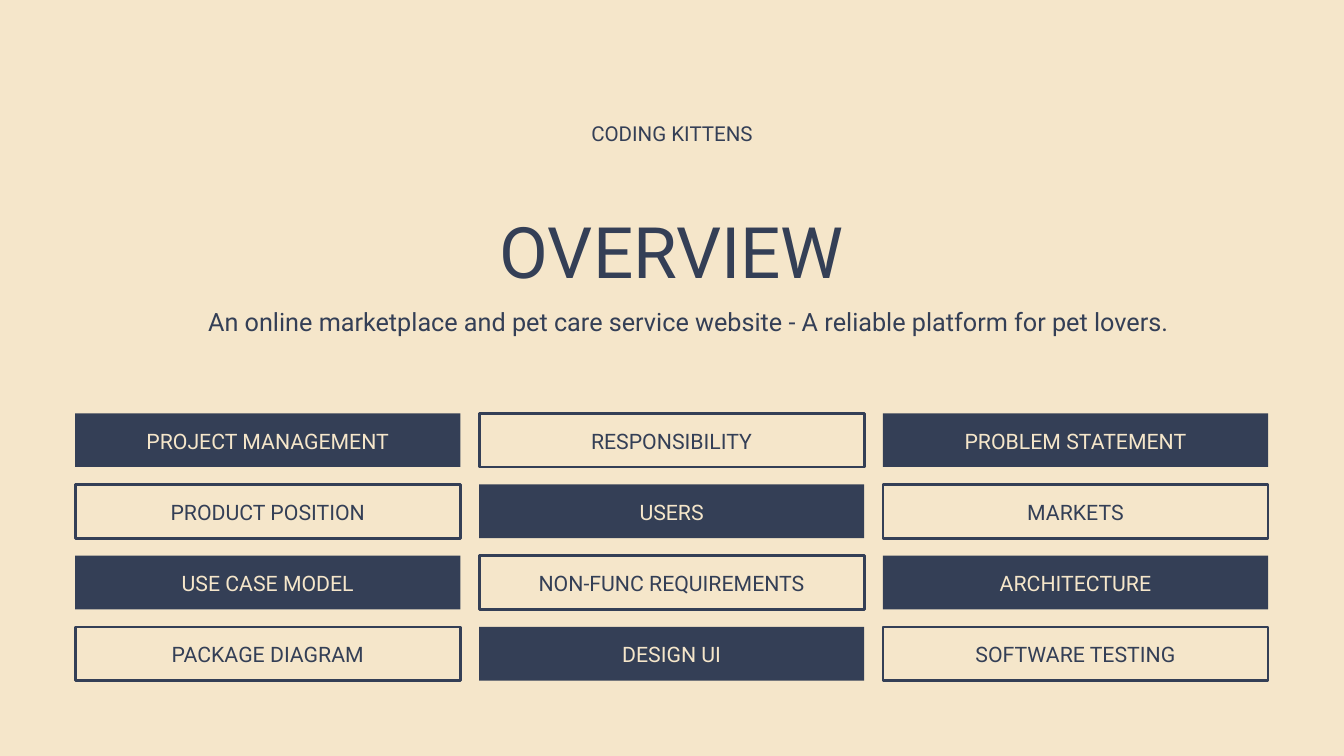
from pptx import Presentation
from pptx.dml.color import RGBColor
from pptx.enum.shapes import MSO_SHAPE as Shape
from pptx.enum.text import MSO_ANCHOR as Anchor, MSO_AUTO_SIZE as AutoSize, PP_ALIGN as Align
from pptx.util import Pt

PX = 9144
NAVY = "343F56"
CREAM = "F5E6CA"
TOPICS = [
    ["PROJECT MANAGEMENT", "RESPONSIBILITY", "PROBLEM STATEMENT"],
    ["PRODUCT POSITION", "USERS", "MARKETS"],
    ["USE CASE MODEL", "NON-FUNC REQUIREMENTS", "ARCHITECTURE"],
    ["PACKAGE DIAGRAM", "DESIGN UI", "SOFTWARE TESTING"],
]


def color(value):
    return RGBColor.from_string(value)


def emu(*lengths):
    return [length * PX for length in lengths]


def place(shape, left, top, width, height):
    shape.left, shape.top, shape.width, shape.height = emu(left, top, width, height)


def write(shape, text, size, leading, ink=NAVY, anchor=Anchor.TOP):
    frame = shape.text_frame
    frame.word_wrap = True
    frame.auto_size = AutoSize.NONE
    frame.vertical_anchor = anchor
    frame.margin_left = frame.margin_right = frame.margin_top = frame.margin_bottom = 0
    paragraph = frame.paragraphs[0]
    paragraph.text = text
    paragraph.alignment = Align.CENTER
    paragraph.space_before = Pt(0)
    paragraph.line_spacing = Pt(leading)
    paragraph.font.name = "Roboto"
    paragraph.font.size = Pt(size)
    paragraph.font.color.rgb = color(ink)


def add_heading(slide, left, top, width):
    team = slide.shapes.add_textbox(*emu(left, top, width, 42))
    write(team, "CODING KITTENS", 22, 30.8)

    title = slide.shapes.title
    place(title, left, top + 114, width, 142)
    write(title, "OVERVIEW", 76, 106.4)

    tagline = slide.placeholders[1]
    place(tagline, left + 24, top + 275, width, 51)
    write(tagline, "An online marketplace and pet care service website"
          " - A reliable platform for pet lovers.", 27, 37.8)


def add_topic(slide, left, top, width, height, topic, filled):
    tile = slide.shapes.add_shape(Shape.RECTANGLE, *emu(left, top, width, height))
    tile.shadow.inherit = False
    if filled:
        tile.fill.solid()
        tile.fill.fore_color.rgb = color(NAVY)
        tile.line.fill.background()
    else:
        tile.fill.background()
        tile.line.color.rgb = color(NAVY)
        tile.line.width = Pt(3)
    write(tile, topic, 22.8, 32, CREAM if filled else NAVY, Anchor.MIDDLE)
    tile.text_frame.margin_bottom = 5 * PX


def add_topic_grid(slide, left, top, width, height, gap_x=28, gap_y=26):
    columns, rows = len(TOPICS[0]), len(TOPICS)
    tile_width = (width - gap_x * (columns - 1)) // columns
    tile_height = (height - gap_y * (rows - 1)) // rows
    for row, topics in enumerate(TOPICS):
        for column, topic in enumerate(topics):
            add_topic(slide, left + column * (tile_width + gap_x),
                      top + row * (tile_height + gap_y),
                      tile_width, tile_height, topic, (row + column) % 2 == 0)


def main():
    deck = Presentation()
    deck.slide_width, deck.slide_height = emu(2000, 1125)
    slide = deck.slides.add_slide(deck.slide_layouts[0])
    slide.background.fill.solid()
    slide.background.fill.fore_color.rgb = color(CREAM)
    add_heading(slide, 278, 174, 1444)
    add_topic_grid(slide, 112, 615, 1776, 398)
    deck.save("out.pptx")


if __name__ == "__main__":
    main()
